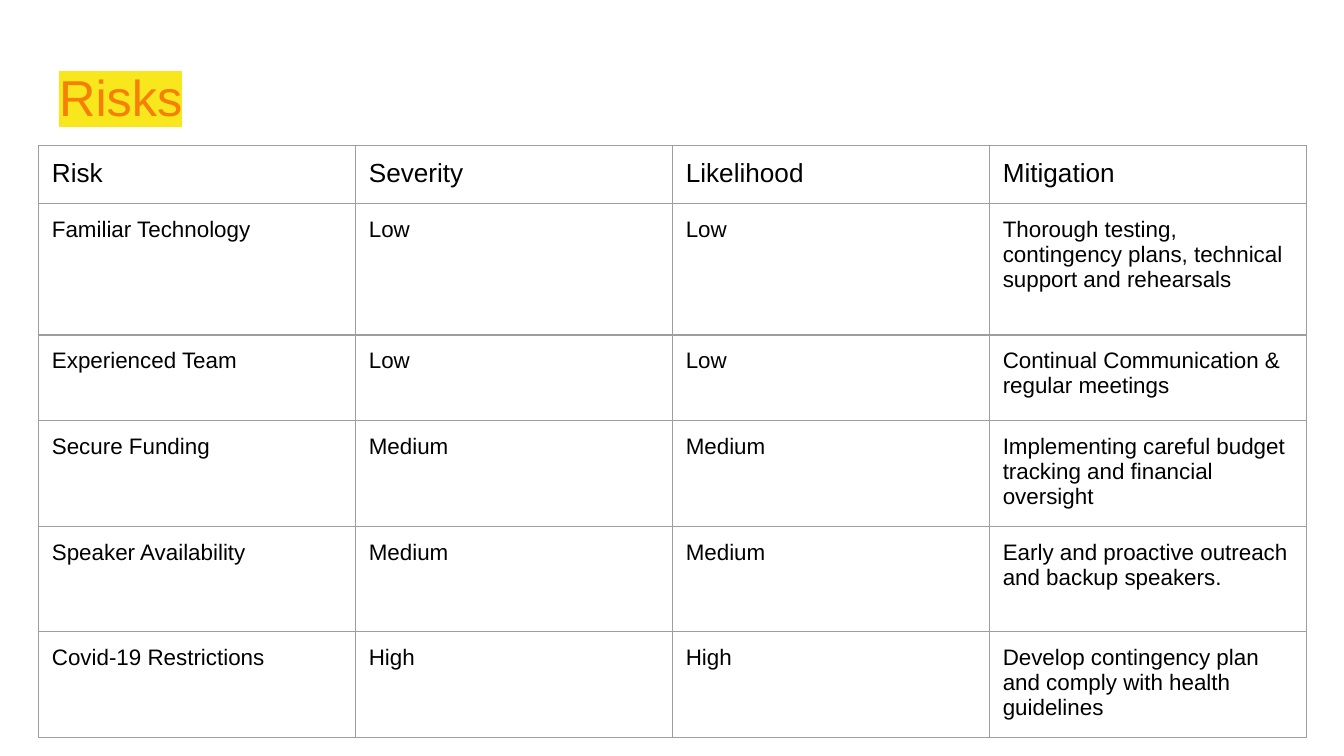
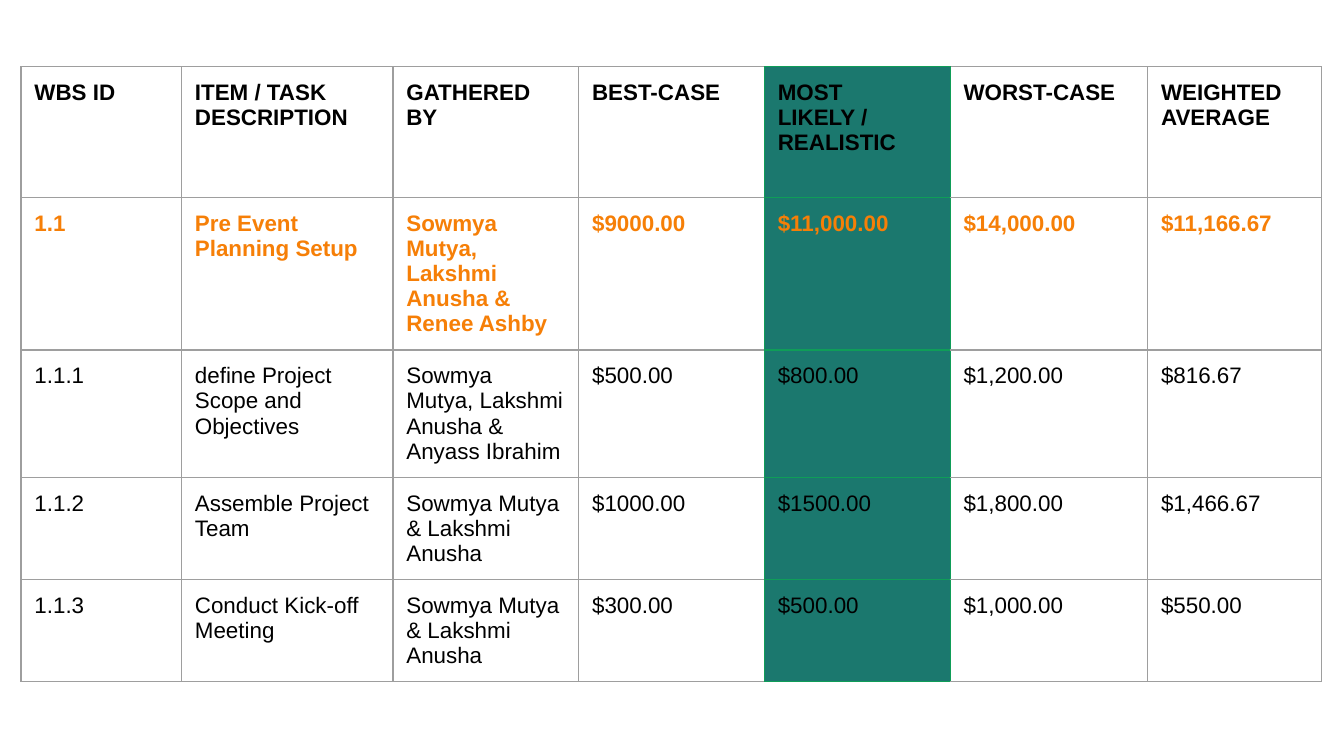
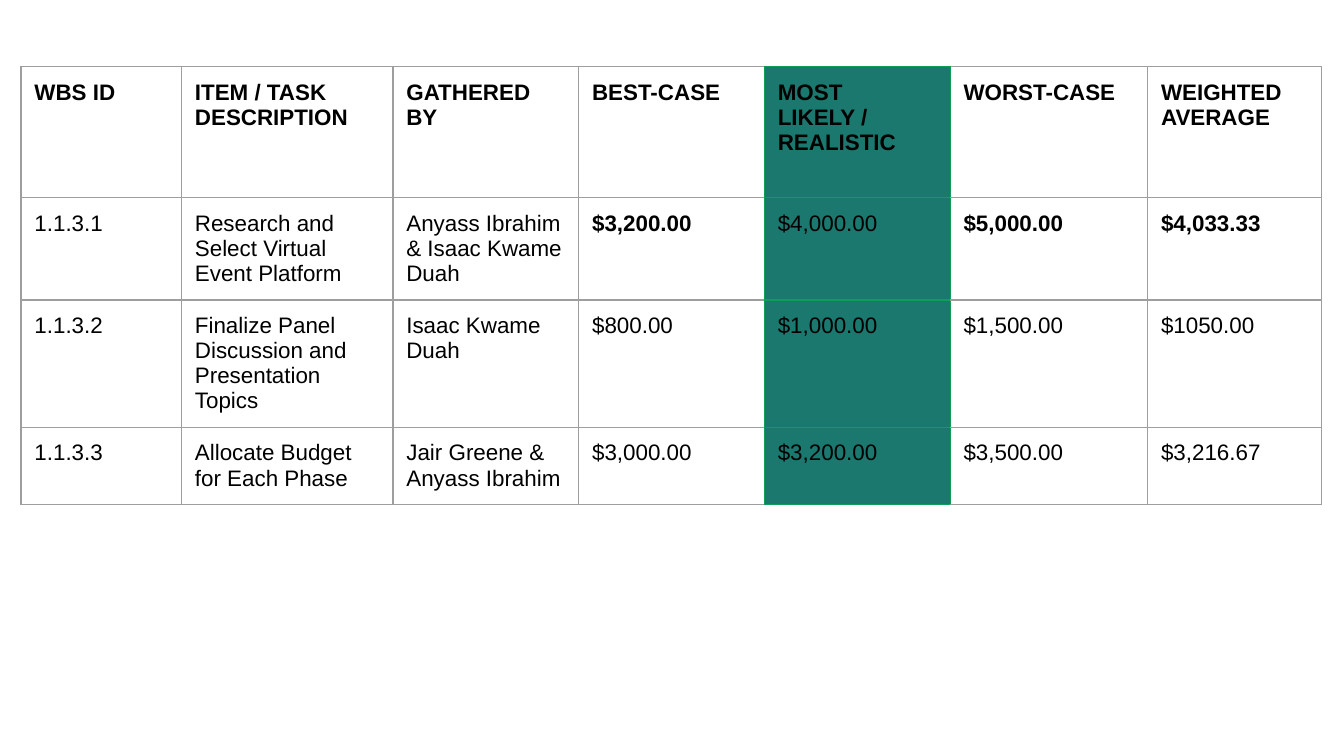
from dataclasses import dataclass

from lxml import etree
from pptx import Presentation
from pptx.dml.color import RGBColor
from pptx.enum import text
from pptx.oxml.ns import qn
from pptx.util import Pt

FONT = "Arial"
BLACK, ORANGE, YELLOW = "000000", "F67F07", "F8E71C"
GRAY, GREEN, TEAL = "9E9E9E", "0F9D58", "1B786E"
INSET = Pt(7.2)
TITLE_ONLY, BLANK = 5, 6
LIKELY = 4  # column of the most likely cost


@dataclass
class Row:
    cells: tuple[str, ...]
    height: float = 30
    size: float = 12
    color: str = BLACK
    bold: tuple[int, ...] = ()


@dataclass
class Grid:
    left: float
    top: float
    widths: tuple[float, ...]
    rows: list[Row]
    accent: int | None = None


ALL = tuple(range(7))
COSTS = (86, 113.3, 99.5, 99.5, 99.5, 105.8, 93.2)
HEAD = Row(("WBS ID", "ITEM / TASK DESCRIPTION", "GATHERED BY", "BEST-CASE",
            "MOST LIKELY / REALISTIC", "WORST-CASE", "WEIGHTED AVERAGE"),
           height=70.2, bold=ALL)

RISKS = [
    Row(("Risk", "Severity", "Likelihood", "Mitigation"), 31, 14),
    Row(("Familiar Technology", "Low", "Low",
         "Thorough testing, contingency plans, technical support and rehearsals"), 70.5),
    Row(("Experienced Team", "Low", "Low",
         "Continual Communication & regular meetings"), 46),
    Row(("Secure Funding", "Medium", "Medium",
         "Implementing careful budget tracking and financial oversight"), 56.5),
    Row(("Speaker Availability", "Medium", "Medium",
         "Early and proactive outreach and backup speakers."), 56.5),
    Row(("Covid-19 Restrictions", "High", "High",
         "Develop contingency plan and comply with health guidelines"), 56.5),
]
SETUP = [
    HEAD,
    Row(("1.1", "Pre Event Planning Setup", "Sowmya Mutya, Lakshmi Anusha & Renee Ashby",
         "$9000.00", "$11,000.00", "$14,000.00", "$11,166.67"), color=ORANGE, bold=ALL),
    Row(("1.1.1", "define Project Scope and Objectives",
         "Sowmya Mutya, Lakshmi Anusha & Anyass Ibrahim",
         "$500.00", "$800.00", "$1,200.00", "$816.67")),
    Row(("1.1.2", "Assemble Project Team", "Sowmya Mutya & Lakshmi Anusha",
         "$1000.00", "$1500.00", "$1,800.00", "$1,466.67")),
    Row(("1.1.3", "Conduct Kick-off Meeting", "Sowmya Mutya & Lakshmi Anusha",
         "$300.00", "$500.00", "$1,000.00", "$550.00")),
]
PHASES = [
    HEAD,
    Row(("1.1.3.1", "Research and Select Virtual Event Platform",
         "Anyass Ibrahim & Isaac Kwame Duah",
         "$3,200.00", "$4,000.00", "$5,000.00", "$4,033.33"), bold=(3, 5, 6)),
    Row(("1.1.3.2", "Finalize Panel Discussion and Presentation Topics",
         "Isaac Kwame Duah", "$800.00", "$1,000.00", "$1,500.00", "$1050.00")),
    Row(("1.1.3.3", "Allocate Budget for Each Phase", "Jair Greene & Anyass Ibrahim",
         "$3,000.00", "$3,200.00", "$3,500.00", "$3,216.67")),
]


def paint(target, color: str) -> None:
    """Give a fill or a font a plain colour."""
    if hasattr(target, "solid"):
        target.solid()
        target = target.fore_color
    else:
        target = target.color
    target.rgb = RGBColor.from_string(color)


def style(par, size: float, color: str, bold: bool = False) -> None:
    par.font.name = FONT
    par.font.size = Pt(size)
    par.font.bold = bold
    paint(par.font, color)


def pad(box) -> None:
    box.margin_left = box.margin_right = INSET
    box.margin_top = box.margin_bottom = INSET


def edge(cell, side: str, color: str) -> None:
    props = cell._tc.get_or_add_tcPr()
    line = etree.SubElement(props, qn(f"a:ln{side}"), w=str(Pt(0.75)))
    fill = etree.SubElement(line, qn("a:solidFill"))
    etree.SubElement(fill, qn("a:srgbClr"), val=color)


def add_grid(slide, grid: Grid) -> None:
    frame = slide.shapes.add_table(
        len(grid.rows), len(grid.widths), Pt(grid.left), Pt(grid.top),
        Pt(sum(grid.widths)), Pt(sum(row.height for row in grid.rows)))
    table = frame.table
    table.first_row = table.horz_banding = False
    for col, width in zip(table.columns, grid.widths):
        col.width = Pt(width)
    for y, row in enumerate(grid.rows):
        table.rows[y].height = Pt(row.height)
        for x, words in enumerate(row.cells):
            cell = table.cell(y, x)
            pad(cell)
            cell.text = words
            style(cell.text_frame.paragraphs[0], row.size, row.color, x in row.bold)
            marked = x == grid.accent
            for side, near in (("L", x - 1), ("R", x + 1), ("T", x), ("B", x)):
                green = grid.accent is not None and grid.accent in (x, near)
                edge(cell, side, GREEN if green else GRAY)
            if marked:
                paint(cell.fill, TEAL)
            else:
                cell.fill.background()


def add_title(slide, words: str) -> None:
    title = slide.shapes.title
    title.left, title.top, title.width, title.height = map(Pt, (24.5, 28, 671, 45.5))
    frame = title.text_frame
    frame.text = words
    frame.auto_size = text.MSO_AUTO_SIZE.NONE
    frame.vertical_anchor = text.MSO_ANCHOR.TOP
    pad(frame)
    par = frame.paragraphs[0]
    par.alignment = text.PP_ALIGN.LEFT
    style(par, 27, ORANGE)
    props = par.runs[0]._r.get_or_add_rPr()
    mark = etree.SubElement(props, qn("a:highlight"))
    etree.SubElement(mark, qn("a:srgbClr"), val=YELLOW)


def main() -> None:
    deck = Presentation()
    deck.slide_width, deck.slide_height = Pt(720), Pt(405)
    slide = deck.slides.add_slide(deck.slide_layouts[TITLE_ONLY])
    add_title(slide, "Risks")
    add_grid(slide, Grid(20.6, 78, (169.8,) * 4, RISKS))
    for rows in (SETUP, PHASES):
        slide = deck.slides.add_slide(deck.slide_layouts[BLANK])
        add_grid(slide, Grid(11.25, 35.75, COSTS, rows, LIKELY))
    deck.save("out.pptx")


if __name__ == "__main__":
    main()
